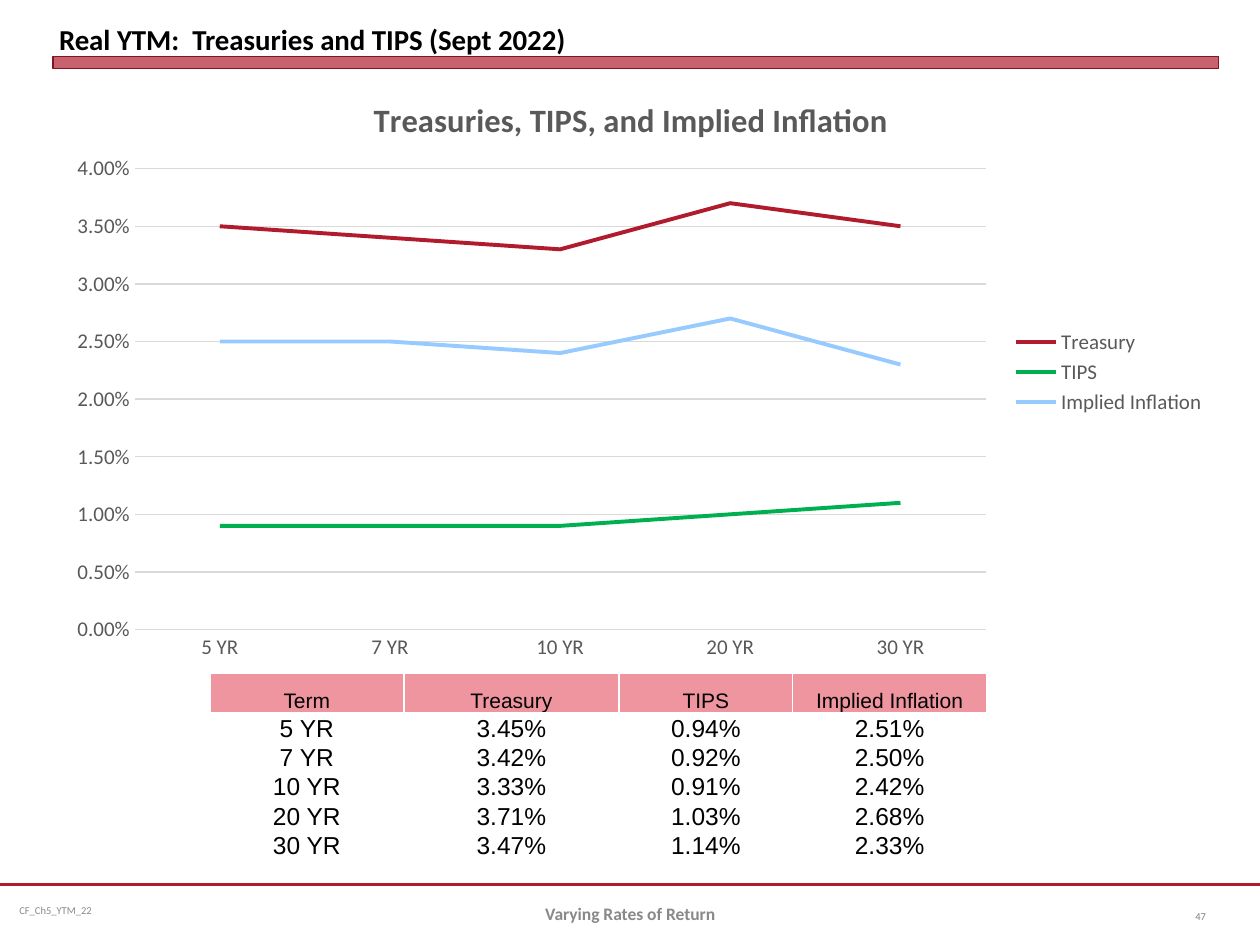
from lxml import etree
from pptx import Presentation, util as u
from pptx.chart.data import CategoryChartData
from pptx.dml.color import RGBColor
from pptx.enum import chart as ch, shapes, text
from pptx.oxml import parse_xml
from pptx.oxml.ns import nsdecls, qn

TITLE = "Real YTM:  Treasuries and TIPS (Sept 2022)"
CHART_TITLE = "Treasuries, TIPS, and Implied Inflation"
HEADER = ["Term", "Treasury", "TIPS", "Implied Inflation"]
YIELDS = [
    ("5 YR", 3.45, 0.94, 2.51),
    ("7 YR", 3.42, 0.92, 2.50),
    ("10 YR", 3.33, 0.91, 2.42),
    ("20 YR", 3.71, 1.03, 2.68),
    ("30 YR", 3.47, 1.14, 2.33),
]
SERIES_COLORS = ["B01C2E", "00B050", "97CBFF"]
COL_WIDTHS = [3.91, 4.34, 3.5, 3.91]
HEADER_HEIGHT, ROW_HEIGHT = 0.8, 0.48
LEFT, WIDTH = 1.07, 23.5
RED, GREY, GRID = "B01C2E", "595959", "D9D9D9"
L, C, R = text.PP_ALIGN.LEFT, text.PP_ALIGN.CENTER, text.PP_ALIGN.RIGHT
MIDDLE, BOTTOM = text.MSO_ANCHOR.MIDDLE, text.MSO_ANCHOR.BOTTOM
FOOTERS = [
    ("CF_Ch5_YTM_22", (0.21, 17.84, 6.55, 1.02), dict(size=6, color="898989", inset=0.18)),
    ("Varying Rates of Return", (8.68, 17.9, 8.05, 1.02),
     dict(size=10, color="898989", bold=True, align=C)),
    ("47", (23.29, 17.97, 1.27, 1.02), dict(size=6, color="808080", align=R)),
]


def rgb(value):
    """Return the colour for a hex string."""
    return RGBColor.from_string(value)


def box(*lengths):
    """Convert centimetres to slide lengths."""
    return [u.Cm(n) for n in lengths]


def style(font, size, color, bold=False, name="Calibri"):
    """Format a font."""
    font.size, font.bold, font.name = u.Pt(size), bold, name
    font.color.rgb = rgb(color)


def write(tf, words, size, color="000000", bold=False, name="Calibri", align=L):
    """Write one formatted paragraph into a text frame."""
    p = tf.paragraphs[0]
    p.alignment = align
    r = p.add_run()
    r.text = words
    style(r.font, size, color, bold, name)


def add_text(s, words, place, inset=0.25, **fmt):
    """Add a vertically centred text box."""
    tf = s.shapes.add_textbox(*box(*place)).text_frame
    tf.word_wrap, tf.vertical_anchor = True, MIDDLE
    tf.margin_left = tf.margin_right = u.Cm(inset)
    write(tf, words, **fmt)


def add_title(s):
    """Place and format the slide title."""
    sp = s.shapes.title
    sp.left, sp.top, sp.width, sp.height = box(LEFT, 0.11, WIDTH, 1.02)
    tf = sp.text_frame
    tf.vertical_anchor, tf.word_wrap = BOTTOM, True
    tf.auto_size = text.MSO_AUTO_SIZE.NONE
    tf.margin_left = u.Cm(0.12)
    tf.margin_right = tf.margin_top = tf.margin_bottom = 0
    write(tf, TITLE, 16.5, bold=True)


def add_rules(s):
    """Draw the title bar and the footer line."""
    bar = s.shapes.add_shape(shapes.MSO_SHAPE.RECTANGLE, *box(LEFT, 1.14, WIDTH, 0.25))
    bar.shadow.inherit = False
    bar.fill.solid()
    bar.fill.fore_color.rgb = rgb(RED)
    etree.SubElement(bar.fill._xPr.find(".//" + qn("a:srgbClr")), qn("a:alpha"), val="69000")
    bar.line.color.rgb = rgb("821522")
    bar.line.width = 0
    rule = s.shapes.add_connector(shapes.MSO_CONNECTOR.STRAIGHT, *box(0, 17.83, 25.4, 17.83))
    rule.line.color.rgb = rgb(RED)
    rule.line.width = u.Pt(1.25)
    etree.SubElement(rule._element.spPr, qn("a:effectLst"))


def set_layout(parent, index, **values):
    """Fix a chart part at fractions of the chart area."""
    for old in parent.findall(qn("c:layout")):
        parent.remove(old)
    target = '<c:layoutTarget val="inner"/>' if "w" in values else ""
    modes = "".join(f'<c:{k}Mode val="edge"/>' for k in "xy")
    parts = "".join(f'<c:{k} val="{v}"/>' for k, v in values.items())
    parent.insert(index, parse_xml(
        f'<c:layout {nsdecls("c")}><c:manualLayout>{target}{modes}{parts}'
        '</c:manualLayout></c:layout>'))


def add_yield_chart(s):
    """Add the line chart of yields by term."""
    data = CategoryChartData(number_format="0.00%")
    data.categories = [row[0] for row in YIELDS]
    for i, name in enumerate(HEADER[1:], 1):
        data.add_series(name, [round(row[i] / 100, 3) for row in YIELDS])
    chart = s.shapes.add_chart(ch.XL_CHART_TYPE.LINE, *box(LEFT, 1.47, WIDTH, 12.07), data).chart
    style(chart.font, 10, "000000")
    chart.has_title = True
    write(chart.chart_title.text_frame, CHART_TITLE, 18.6, GREY, True, align=C)
    chart.chart_title.include_in_layout = False
    set_layout(chart.chart_title._element, 1, x=0.27, y=0.03)
    set_layout(chart.plots[0]._element.getparent(), 0, x=0.07, y=0.16, w=0.73, h=0.77)
    chart.plots[0].vary_by_categories = False
    for series, color in zip(chart.plots[0].series, SERIES_COLORS):
        series.smooth = False
        series.format.line.color.rgb = rgb(color)
        series.format.line.width = u.Pt(2.25)
        series.marker.style = ch.XL_MARKER_STYLE.NONE
    chart.has_legend = True
    chart.legend.position = ch.XL_LEGEND_POSITION.RIGHT
    chart.legend.include_in_layout = False
    style(chart.legend.font, 12, GREY)
    cats, vals = chart.category_axis, chart.value_axis
    for axis in (cats, vals):
        axis.major_tick_mark = axis.minor_tick_mark = ch.XL_TICK_MARK.NONE
        style(axis.tick_labels.font, 12, GREY)
    vals.minimum_scale, vals.maximum_scale, vals.major_unit = 0, 0.04, 0.005
    vals.tick_labels.number_format = "0.00%"
    vals.tick_labels.number_format_is_linked = False
    vals.format.line.fill.background()
    for line in (cats.format.line, vals.major_gridlines.format.line):
        line.color.rgb = rgb(GRID)
        line.width = u.Pt(0.75)


def fill_cell(cell, words, size, fill):
    """Write and format one table cell with white borders."""
    cell.vertical_anchor = BOTTOM
    cell.margin_left = cell.margin_right = u.Cm(0.02)
    cell.margin_top = cell.margin_bottom = 0
    write(cell.text_frame, words, size, name="Arial", align=C)
    props = cell._tc.get_or_add_tcPr()
    for side in ("lnL", "lnR", "lnT", "lnB"):
        props.append(parse_xml(
            f'<a:{side} {nsdecls("a")} w="12700"><a:solidFill><a:srgbClr val="FFFFFF"/>'
            f'</a:solidFill></a:{side}>'))
    cell.fill.solid()
    cell.fill.fore_color.rgb = rgb(fill)


def add_yield_table(s):
    """Add the table of yields by term."""
    rows = [HEADER] + [[term] + [f"{v:.2f}%" for v in vals] for term, *vals in YIELDS]
    height = HEADER_HEIGHT + ROW_HEIGHT * len(YIELDS)
    table = s.shapes.add_table(len(rows), len(HEADER),
                               *box(4.23, 13.57, sum(COL_WIDTHS), height)).table
    for col, width in zip(table.columns, COL_WIDTHS):
        col.width = u.Cm(width)
    for i, row in enumerate(rows):
        table.rows[i].height = u.Cm(ROW_HEIGHT if i else HEADER_HEIGHT)
        for j, words in enumerate(row):
            fill_cell(table.cell(i, j), words, 14 if i else 12, "FFFFFF" if i else "EE95A0")


def main():
    """Build and save the slide."""
    prs = Presentation()
    prs.slide_width, prs.slide_height = box(25.4, 19.05)
    s = prs.slides.add_slide(prs.slide_layouts[5])
    add_rules(s)
    add_yield_chart(s)
    add_title(s)
    for words, place, fmt in FOOTERS:
        add_text(s, words, place, **fmt)
    add_yield_table(s)
    prs.save("out.pptx")


if __name__ == "__main__":
    main()
